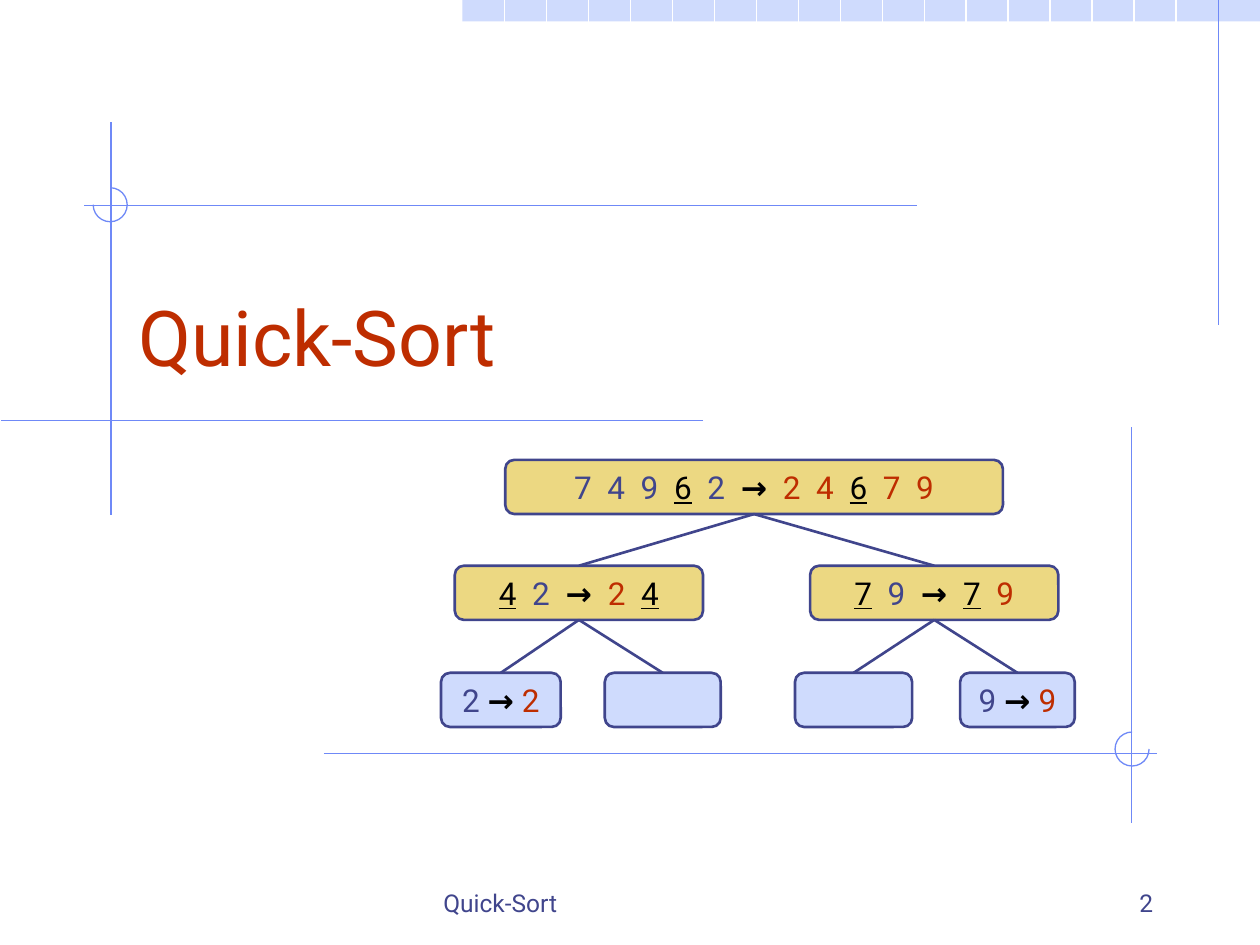
import dataclasses

import lxml.etree
import pptx
import pptx.dml.color
import pptx.enum.shapes
import pptx.enum.text
import pptx.oxml.ns
import pptx.util

Inches = pptx.util.Inches
Pt = pptx.util.Pt
Color = pptx.dml.color.RGBColor.from_string
Shape = pptx.enum.shapes.MSO_SHAPE
Align = pptx.enum.text.PP_ALIGN
Anchor = pptx.enum.text.MSO_ANCHOR


@dataclasses.dataclass(frozen=True)
class Theme:
    """Colours, font and type sizes of the deck."""
    font: str = "Roboto"
    ink: str = "40458C"
    accent: str = "BE2D00"
    black: str = "000000"
    white: str = "FFFFFF"
    gold: str = "ECD882"
    pale: str = "CFDBFD"
    guide: str = "6F89F7"
    title: int = 44
    node: int = 18
    footer: int = 14
    thin: float = 0.75
    thick: float = 1.5


THEME = Theme()
STYLES = {
    "input": {"color": THEME.ink},
    "pivot": {"color": THEME.black, "underline": True},
    "arrow": {"color": THEME.black, "bold": True},
    "output": {"color": THEME.accent},
}
NODES = {
    "root": (0.51, 0, 3.95, THEME.gold, [
        ("input", "7  4  9  "), ("pivot", "6"), ("input", "  2  "), ("arrow", "→  "),
        ("output", "2  4  "), ("pivot", "6"), ("output", "  7  9")]),
    "low": (0.11, 0.84, 1.97, THEME.gold, [
        ("pivot", "4"), ("input", "  2  "), ("arrow", "→  "), ("output", "2  "), ("pivot", "4")]),
    "high": (2.93, 0.84, 1.97, THEME.gold, [
        ("pivot", "7"), ("input", "  9  "), ("arrow", "→  "), ("pivot", "7"), ("output", "  9")]),
    "low left": (0, 1.69, 0.95, THEME.pale, [
        ("input", "2 "), ("arrow", "→ "), ("output", "2")]),
    "low right": (1.3, 1.69, 0.92, THEME.pale, []),
    "high left": (2.81, 1.69, 0.93, THEME.pale, []),
    "high right": (4.12, 1.69, 0.91, THEME.pale, [
        ("input", "9 "), ("arrow", "→ "), ("output", "9")]),
}
EDGES = [("root", "low"), ("root", "high"), ("low", "low left"), ("low", "low right"),
         ("high", "high left"), ("high", "high right")]


def apply(target, values):
    """Set each named attribute on the target."""
    for name, value in values.items():
        setattr(target, name, value)


def add_span(para, text, size, color, **values):
    """Append one formatted run to a paragraph."""
    span = para.add_run()
    span.text = text
    apply(span.font, {"name": THEME.font, "size": Pt(size), **values})
    span.font.color.rgb = Color(color)


def add_line(page, start, end, color, width):
    """Draw a straight connector without a shadow."""
    line = page.shapes.add_connector(
        pptx.enum.shapes.MSO_CONNECTOR.STRAIGHT, *map(Inches, (*start, *end)))
    line.line.color.rgb = Color(color)
    line.line.width = Pt(width)
    lxml.etree.SubElement(line._element.spPr, pptx.oxml.ns.qn("a:effectLst"))
    return line


def add_shape(page, kind, box, fill=None, line=None, width=THEME.thin):
    """Draw a preset shape with an optional fill and outline."""
    shape = page.shapes.add_shape(kind, *map(Inches, box))
    shape.shadow.inherit = False
    for part, color in ((shape.fill, fill), (shape.line.fill, line)):
        if color:
            part.solid()
            part.fore_color.rgb = Color(color)
        else:
            part.background()
    if line:
        shape.line.width = Pt(width)
    return shape


def add_label(page, box, text, size, color, align=Align.LEFT):
    """Place one line of text at the bottom of the box."""
    frame = page.shapes.add_textbox(*map(Inches, box)).text_frame
    apply(frame, {"word_wrap": True, "vertical_anchor": Anchor.BOTTOM})
    frame.paragraphs[0].alignment = align
    add_span(frame.paragraphs[0], text, size, color)


def add_band(page, box, page_height=7.5, cells=19):
    """Draw the header band and the page columns that divide it."""
    left, top, width, height = box
    add_shape(page, Shape.RECTANGLE, box, THEME.pale)
    for index in range(1, cells - 1):
        x = left + index * width / cells
        add_line(page, (x, top), (x, page_height), THEME.white, THEME.thin)


def add_crosshair(page, box, cross, ring, angles):
    """Cross two guide lines spanning the box and add a three-quarter ring."""
    left, top, width, height = box
    x, y = cross
    add_line(page, (x, top), (x, top + height), THEME.guide, THEME.thin)
    add_line(page, (left, y), (left + width, y), THEME.guide, THEME.thin)
    arc = add_shape(page, Shape.ARC, (*ring, 0.27, 0.27), line=THEME.guide)
    for index, degrees in enumerate(angles):
        arc.adjustments[index] = degrees * 0.6


def add_node(page, box, fill, spans):
    """Draw one tree node with its sequence."""
    node = add_shape(page, Shape.ROUNDED_RECTANGLE, box, fill, THEME.ink, THEME.thick)
    frame = node.text_frame
    apply(frame, {"word_wrap": False, "vertical_anchor": Anchor.MIDDLE})
    frame.paragraphs[0].alignment = Align.CENTER
    for style, text in spans:
        add_span(frame.paragraphs[0], text, THEME.node, **STYLES[style])
    return node


def add_tree(page, box):
    """Draw the quick-sort tree from the top left of the box."""
    left, top = box[:2]
    nodes = {name: add_node(page, (left + x, top + y, width, 0.43), fill, spans)
             for name, (x, y, width, fill, spans) in NODES.items()}
    for parent, child in EDGES:
        edge = add_line(page, (left, top), (left, top), THEME.ink, THEME.thick)
        edge.begin_connect(nodes[parent], 2)
        edge.end_connect(nodes[child], 0)


def add_title_page(deck):
    """Compose the title slide."""
    page = deck.slides.add_slide(deck.slide_layouts[6])
    add_band(page, (3.67, 0, 6.33, 0.17))
    add_line(page, (9.67, 0), (9.67, 2.58), THEME.guide, THEME.thin)
    add_line(page, (5.58, 3.34), (0.01, 3.34), THEME.guide, THEME.thin)
    add_crosshair(page, (0.67, 0.97, 6.61, 3.12), (0.88, 1.63), (0.74, 1.49), (270, 180))
    add_crosshair(page, (2.57, 3.39, 6.61, 3.14), (8.98, 5.98), (8.85, 5.81), (0, 270))
    add_label(page, (3.42, 6.83, 3.17, 0.5), "Quick-Sort", THEME.footer, THEME.ink)
    add_label(page, (7.17, 6.83, 2.08, 0.5), "2", THEME.footer, THEME.ink, Align.RIGHT)
    add_label(page, (1, 1.83, 8.5, 1.25), "Quick-Sort", THEME.title, THEME.accent)
    add_tree(page, (3.5, 3.65, 5.03, 2.12))


def main():
    """Build and save the deck."""
    deck = pptx.Presentation()
    apply(deck, {"slide_width": Inches(10), "slide_height": Inches(7.5)})
    add_title_page(deck)
    deck.save("out.pptx")


if __name__ == "__main__":
    main()
